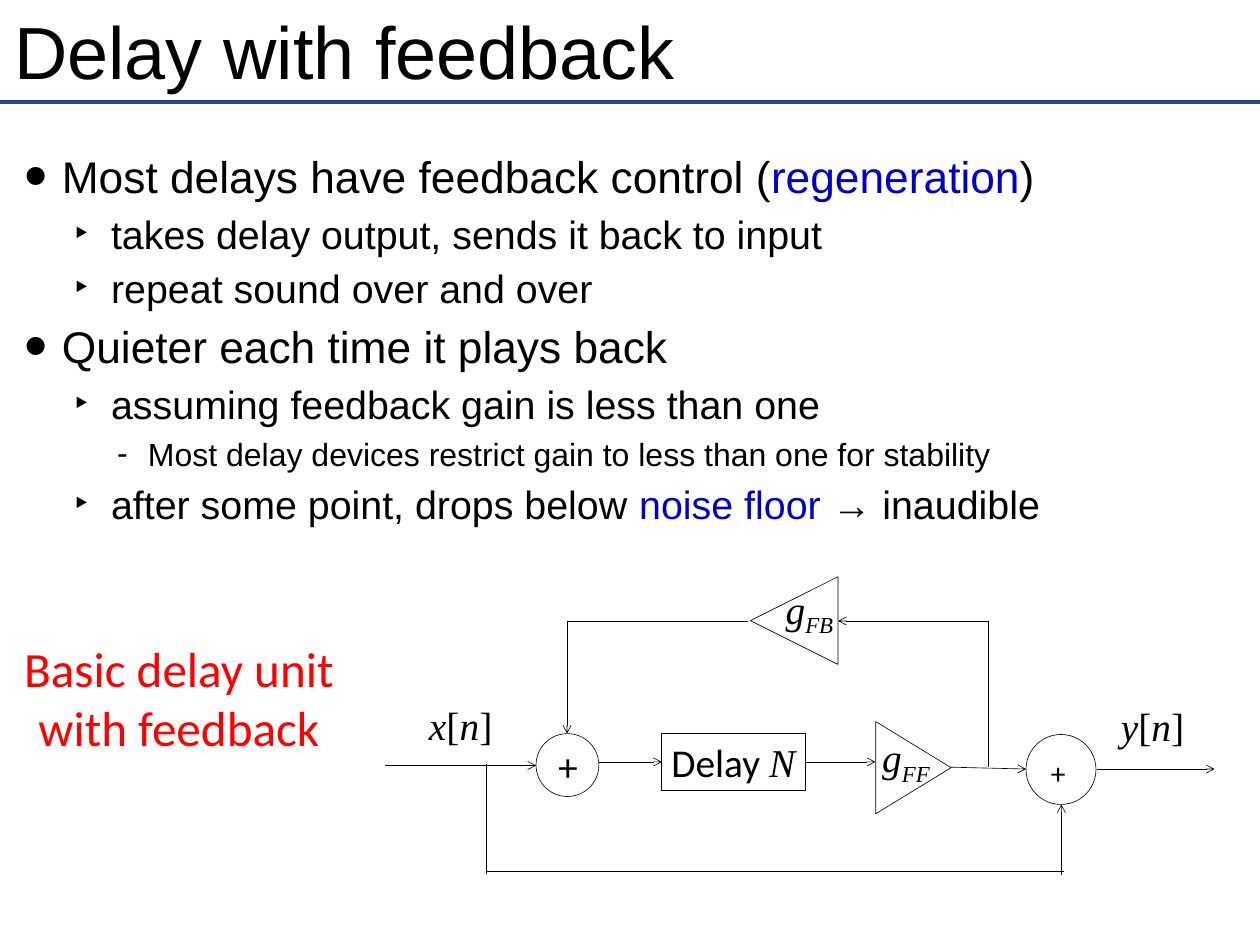
from lxml.etree import SubElement
from pptx import Presentation
from pptx.dml.color import RGBColor
from pptx.enum.shapes import MSO_CONNECTOR, MSO_SHAPE
from pptx.enum.text import MSO_ANCHOR, PP_ALIGN
from pptx.oxml.ns import qn
from pptx.util import Pt

BLACK, BLUE, RED, NAVY = "000000", "0000CC", "FF0000", "254789"
SANS, LABEL, MATH = "Arial", "Calibri", "Times New Roman"
DIAGRAM_INSETS = (7.2, 3.6)

BULLET_LEVELS = [
    {"size": 36, "left": 46, "hanging": 30, "symbol": "•", "scale": 150},
    {"size": 32, "left": 86, "hanging": 30, "symbol": "‣", "scale": 100},
    {"size": 26, "left": 116, "hanging": 25, "symbol": "-", "scale": 100},
]
BULLETS = [
    (0, [("Most delays have feedback control (", {}),
         ("regeneration", {"color": BLUE}), (")", {})]),
    (1, [("takes delay output, sends it back to input", {})]),
    (1, [("repeat sound over and over", {})]),
    (0, [("Quieter each time it plays back", {})]),
    (1, [("assuming feedback gain is less than one", {})]),
    (2, [("Most delay devices restrict gain to less than one for stability", {})]),
    (1, [("after some point, drops below ", {}),
         ("noise floor ", {"color": BLUE}), ("→ inaudible", {})]),
]


def rgb(value):
    return RGBColor.from_string(value)


def signal(name):
    return [(name, {"italic": True}), ("[", {}), ("n", {"italic": True}), ("]", {})]


def gain(subscript):
    return [("g", {}), (subscript, {"baseline": -25})]


class SlideBuilder:
    def __init__(self, page, thin=0.5):
        self.page = page
        self.thin = thin

    def style(self, font, size=None, face=None, color=None, italic=None):
        if size:
            font.size = Pt(size)
        if face:
            font.name = face
        if color:
            font.color.rgb = rgb(color)
        if italic is not None:
            font.italic = italic

    def add_spans(self, para, spans, **style):
        self.style(para.font, **style)
        for text, changes in spans:
            changes = dict(changes)
            baseline = changes.pop("baseline", None)
            span = para.add_run()
            span.text = text
            self.style(span.font, **changes)
            if baseline:
                span._r.get_or_add_rPr().set("baseline", str(baseline * 1000))

    def prepare(self, box, insets, anchor=MSO_ANCHOR.TOP, wrap=True):
        frame = box.text_frame
        frame.word_wrap = wrap
        frame.vertical_anchor = anchor
        frame.margin_left = frame.margin_right = Pt(insets[0])
        frame.margin_top = frame.margin_bottom = Pt(insets[1])
        return frame

    def text(self, place, spans, insets=DIAGRAM_INSETS, anchor=MSO_ANCHOR.TOP,
             align=PP_ALIGN.CENTER, wrap=False, **style):
        box = self.page.shapes.add_textbox(*map(Pt, place))
        para = self.prepare(box, insets, anchor, wrap).paragraphs[0]
        para.alignment = align
        self.add_spans(para, spans, **{"color": BLACK, **style})

    def bullets(self, place, items):
        box = self.page.shapes.add_textbox(*map(Pt, place))
        frame = self.prepare(box, (4.3, 4.3), MSO_ANCHOR.MIDDLE)
        for index, (depth, spans) in enumerate(items):
            level = BULLET_LEVELS[depth]
            para = frame.add_paragraph() if index else frame.paragraphs[0]
            para.level = depth
            para.space_before = Pt(6 if index else 0)
            properties = para._p.get_or_add_pPr()
            properties.set("marL", str(Pt(level["left"])))
            properties.set("indent", str(-Pt(level["hanging"])))
            SubElement(properties, qn("a:buSzPct"), val=str(level["scale"] * 1000))
            SubElement(properties, qn("a:buFont"), typeface=SANS)
            SubElement(properties, qn("a:buChar"), char=level["symbol"])
            self.add_spans(para, spans, size=level["size"], face=SANS, color=BLACK)

    def shape(self, kind, place, rotation=0):
        shape = self.page.shapes.add_shape(kind, *map(Pt, place))
        shape.rotation = rotation
        shape.shadow.inherit = False
        shape.fill.background()
        shape.line.color.rgb = rgb(BLACK)
        shape.line.width = Pt(self.thin)
        return shape

    def block(self, place, spans, **style):
        box = self.shape(MSO_SHAPE.RECTANGLE, place)
        para = self.prepare(box, DIAGRAM_INSETS, wrap=False).paragraphs[0]
        para.alignment = PP_ALIGN.CENTER
        self.add_spans(para, spans, color=BLACK, **style)

    def line(self, start, end, arrow=False, color=BLACK, width=None):
        connector = self.page.shapes.add_connector(
            MSO_CONNECTOR.STRAIGHT, *map(Pt, start + end))
        connector.line.color.rgb = rgb(color)
        connector.line.width = Pt(width or self.thin)
        SubElement(connector._element.spPr, qn("a:effectLst"))
        if arrow:
            SubElement(connector.get_or_add_ln(), qn("a:tailEnd"), type="arrow")


def draw_diagram(builder):
    feedback, middle, output, bypass = 504.7, 619.2, 625, 708.5
    tap, branch, first_sum, second_sum = 395.3, 803.5, 460.8, 862.6

    builder.shape(MSO_SHAPE.OVAL, (435.6, 596.2, 51.1, 51.1))
    builder.shape(MSO_SHAPE.OVAL, (833.8, 596.9, 56.9, 56.9))
    builder.shape(MSO_SHAPE.ISOSCELES_TRIANGLE, (704.9, 593.3, 74.9, 61.2), 90)
    builder.shape(MSO_SHAPE.ISOSCELES_TRIANGLE, (609.8, 468.7, 71.3, 71.3), 270)
    builder.block((537.8, 596.2, 116.6, 46.1),
                  [("Delay ", {"face": LABEL}), ("N", {"face": MATH, "italic": True})],
                  size=32)

    for start, end, arrow in [
        ((313.2, 622.1), (435.6, 622.1), True),
        ((486.7, middle), (537.8, middle), True),
        ((654.5, middle), (711.4, middle), True),
        ((772.6, 623.5), (833.8, output), True),
        ((891.4, output), (987.1, output), True),
        ((tap, 620.6), (tap, 710.6), False),
        ((tap, bypass), (864.7, bypass), False),
        ((second_sum, 711.4), (second_sum, 653.8), True),
        ((branch, feedback), (branch, 623.5), False),
        ((branch, feedback), (681.1, feedback), True),
        ((first_sum, feedback), (607.7, feedback), False),
        ((first_sum, feedback), (first_sum, 596.2), True),
    ]:
        builder.line(start, end, arrow)

    builder.text((435.6, 599.8, 51.8, 46.1), [("+", {})], size=32, face=LABEL)
    builder.text((846.7, 609.8, 26.6, 36), [("+", {})], size=24, face=LABEL)
    for name, left, top in [("x", 341.3, 565.9), ("y", 903.6, 567.4)]:
        builder.text((left, top, 66.2, 46.1), signal(name), size=32, face=MATH)
    for name, left, top in [("FF", 707.8, 592.6), ("FB", 629.3, 471.6)]:
        builder.text((left, top, 56.9, 46.1), gain(name), size=32, face=MATH, italic=True)


def main():
    deck = Presentation()
    deck.slide_width, deck.slide_height = Pt(1024), Pt(768)
    builder = SlideBuilder(deck.slides.add_slide(deck.slide_layouts[6]))
    builder.line((0, 82.8), (1024, 82.8), color=NAVY, width=3)
    builder.text((7.2, 4.3, 1008.7, 72.7), [("Delay with feedback", {})],
                 insets=(4.3, 4.3), anchor=MSO_ANCHOR.MIDDLE, align=PP_ALIGN.LEFT,
                 wrap=True, size=60, face=SANS)
    builder.bullets((0, 85.7, 1024, 378.7), BULLETS)
    builder.text((0, 514.1, 290.9, 155.5), [("Basic delay unit with feedback", {})],
                 insets=(10, 5), wrap=True, size=40, face=LABEL, color=RED)
    draw_diagram(builder)
    deck.save("out.pptx")


if __name__ == "__main__":
    main()
